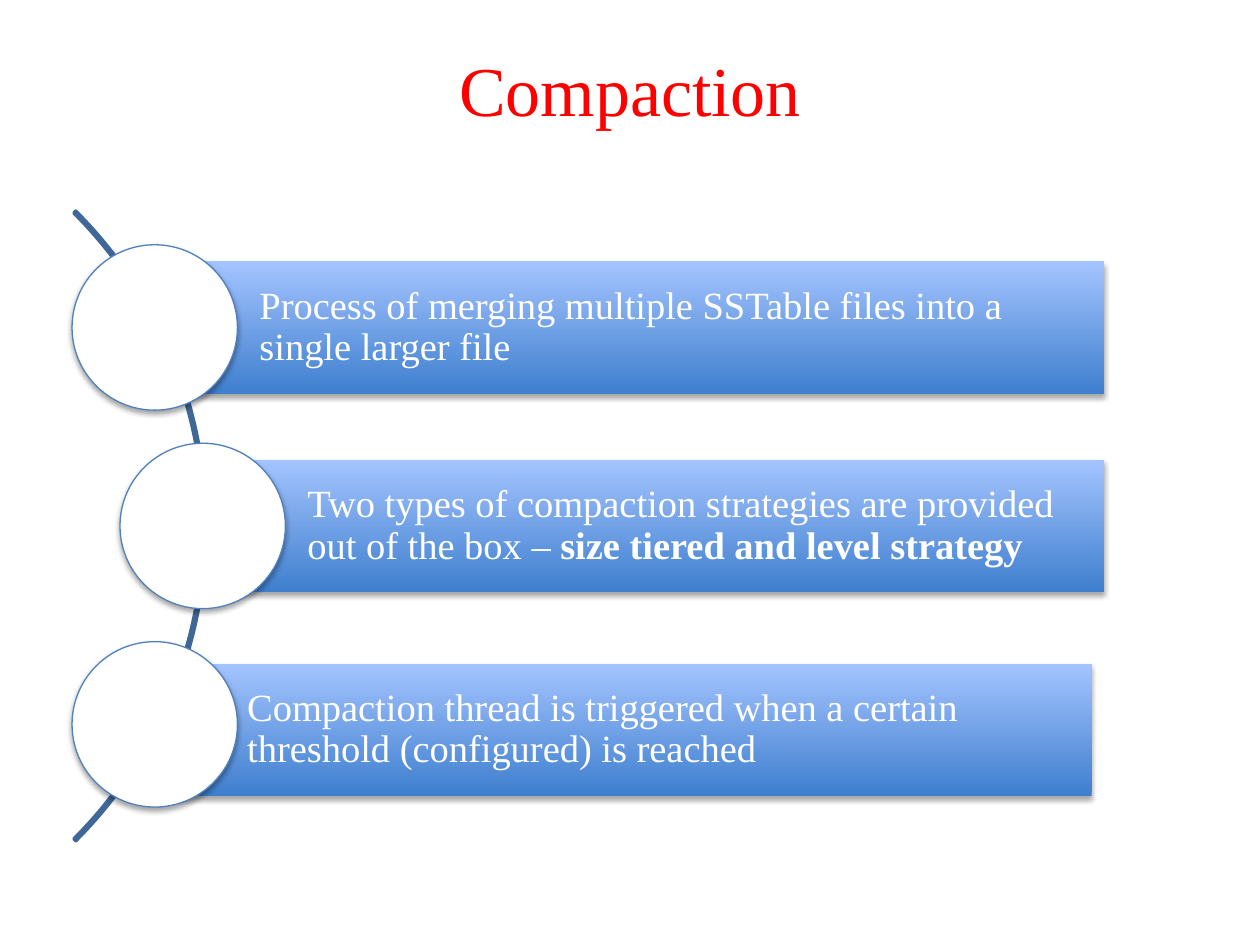
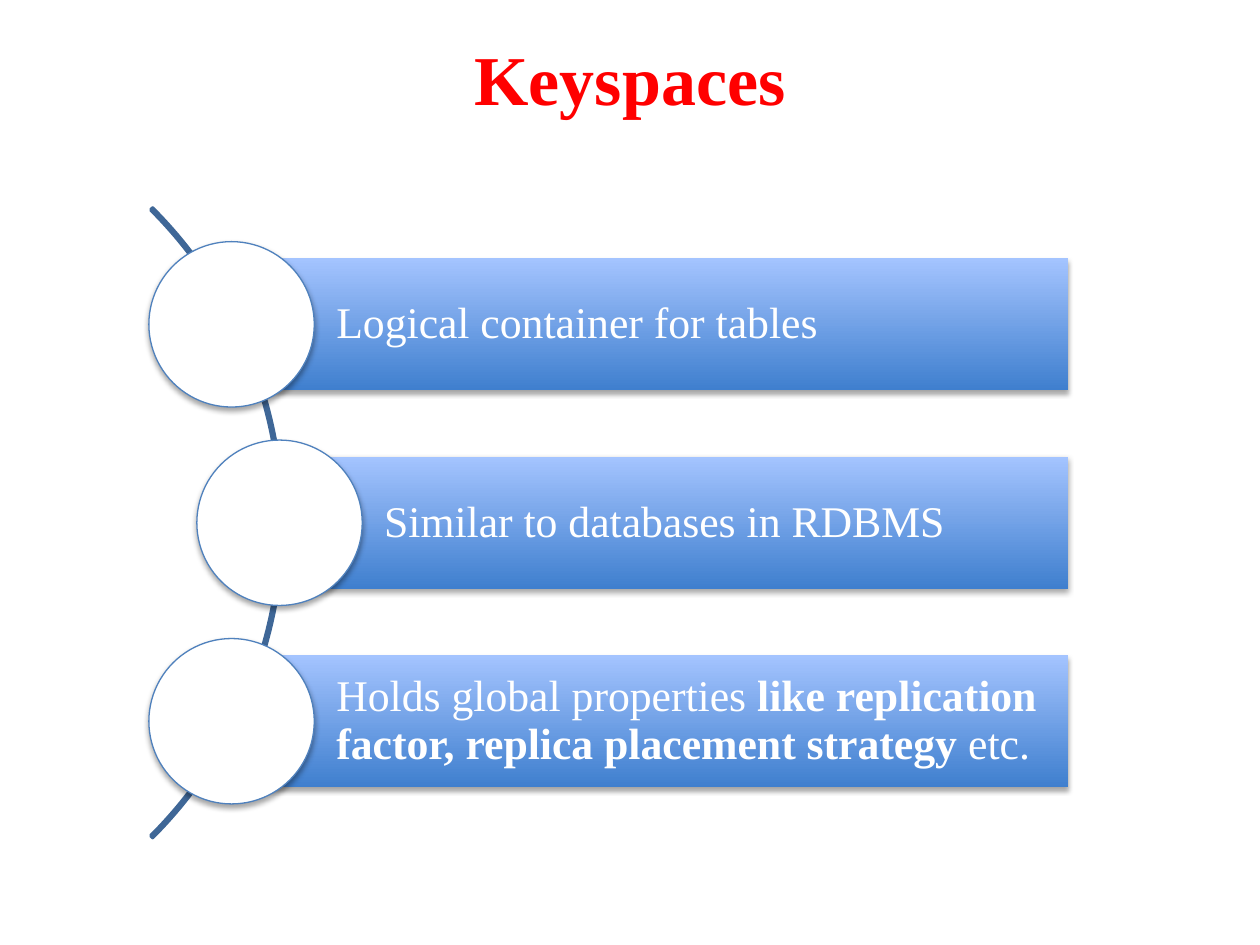
from dataclasses import dataclass

from lxml.etree import SubElement
from pptx import Presentation
from pptx.dml.color import RGBColor
from pptx.enum.shapes import MSO_SHAPE
from pptx.enum.text import MSO_ANCHOR, PP_ALIGN
from pptx.oxml.ns import qn
from pptx.util import Pt


@dataclass(frozen=True)
class Theme:
    font: str = "Times New Roman"
    title_size: float = 40
    title_color: RGBColor = RGBColor(0xFF, 0, 0)
    white: RGBColor = RGBColor(0xFF, 0xFF, 0xFF)
    bar_bottom: RGBColor = RGBColor(0x3F, 0x7F, 0xCE)
    bar_top: RGBColor = RGBColor(0xA4, 0xC4, 0xFF)
    curve: RGBColor = RGBColor(0x3F, 0x67, 0x97)
    ring: RGBColor = RGBColor(0x4F, 0x81, 0xBD)


@dataclass(frozen=True)
class Box:
    left: float
    top: float
    width: float
    height: float

    def points(self):
        return Pt(self.left), Pt(self.top), Pt(self.width), Pt(self.height)


@dataclass(frozen=True)
class Point:
    runs: tuple
    shift_x: float = 0
    shift_y: float = 0


THEME = Theme()
CIRCLE = 94.5
BAR_HEIGHT = 75.6
PITCH = 113.4
MIDDLE_INDENT = 27.4
CURVE_SIZE = 508.8
CURVE_OVERHANG = 2
TEXT_INDENT = 59.8


def write_runs(paragraph, runs, size, color):
    for wording, bold in runs:
        run = paragraph.add_run()
        run.text = wording
        run.font.name = THEME.font
        run.font.size = Pt(size)
        run.font.bold = bold
        run.font.color.rgb = color


def cast_shadow(shape):
    effects = shape._element.spPr.find(qn("a:effectLst"))
    shadow = SubElement(effects, qn("a:outerShdw"), blurRad=str(Pt(3.1)),
                        dist=str(Pt(1.8)), dir="5400000", rotWithShape="0")
    black = SubElement(shadow, qn("a:srgbClr"), val="000000")
    SubElement(black, qn("a:alpha"), val="35000")


def add_plain(slide, preset, box):
    shape = slide.shapes.add_shape(preset, *box.points())
    shape.shadow.inherit = False
    return shape


def add_title(slide, box, wording, bold):
    frame = slide.shapes.add_textbox(*box.points()).text_frame
    frame.word_wrap = True
    frame.vertical_anchor = MSO_ANCHOR.MIDDLE
    heading = frame.paragraphs[0]
    heading.alignment = PP_ALIGN.CENTER
    write_runs(heading, [(wording, bold)], THEME.title_size, THEME.title_color)


def add_curve(slide, box):
    curve = add_plain(slide, MSO_SHAPE.BLOCK_ARC, box)
    for index, value in enumerate((189, 27, 0.003)):
        curve.adjustments[index] = value
    curve.fill.background()
    curve.line.color.rgb = THEME.curve
    curve.line.width = Pt(2)


def add_bar(slide, box, runs, size, inset):
    bar = add_plain(slide, MSO_SHAPE.RECTANGLE, box)
    bar.fill.gradient()
    bar.fill.gradient_angle = 90
    for stop, color in zip(bar.fill.gradient_stops, (THEME.bar_bottom, THEME.bar_top)):
        stop.color.rgb = color
    bar.line.fill.background()
    cast_shadow(bar)
    frame = bar.text_frame
    frame.word_wrap = True
    frame.vertical_anchor = MSO_ANCHOR.MIDDLE
    frame.margin_left = Pt(TEXT_INDENT)
    frame.margin_top = frame.margin_right = frame.margin_bottom = Pt(inset)
    statement = frame.paragraphs[0]
    statement.alignment = PP_ALIGN.LEFT
    statement.line_spacing = 0.9
    write_runs(statement, runs, size, THEME.white)


def add_circle(slide, box):
    circle = add_plain(slide, MSO_SHAPE.OVAL, box)
    circle.fill.solid()
    circle.fill.fore_color.rgb = THEME.white
    circle.line.color.rgb = THEME.ring
    circle.line.width = Pt(0.75)
    cast_shadow(circle)


def add_curved_list(slide, box, points, size, inset):
    radius = CIRCLE / 2
    curve_right = box.left + MIDDLE_INDENT + radius + CURVE_OVERHANG
    curve_top = box.top + (box.height - CURVE_SIZE) / 2
    add_curve(slide, Box(curve_right - CURVE_SIZE, curve_top, CURVE_SIZE, CURVE_SIZE))
    for index, point in enumerate(points):
        indent = MIDDLE_INDENT if index == 1 else 0
        circle_left = box.left + indent
        circle_top = box.top + index * PITCH
        bar = Box(circle_left + radius + point.shift_x,
                  circle_top + (CIRCLE - BAR_HEIGHT) / 2 + point.shift_y,
                  box.width - indent - radius, BAR_HEIGHT)
        add_bar(slide, bar, point.runs, size, inset)
        add_circle(slide, Box(circle_left, circle_top, CIRCLE, CIRCLE))


def add_compaction(slide):
    add_title(slide, Box(36, 13.7, 648, 73.4), "Compaction", False)
    points = (
        Point((("Process of merging multiple SSTable files into a single larger file", False),)),
        Point((("Two types of compaction strategies are provided out of the box – ", False),
               ("size tiered and level strategy", True))),
        Point((("Compaction thread is triggered when a certain threshold (configured) is reached",
                False),), shift_x=-7, shift_y=3),
    )
    add_curved_list(slide, Box(41.2, 139.9, 589.6, 2 * PITCH + CIRCLE), points, 22, 4.4)


def add_keyspaces(slide):
    add_title(slide, Box(36, 3.6, 648, 81.4), "Keyspaces", True)
    points = (
        Point((("Logical container for tables", False),)),
        Point((("Similar to databases in RDBMS", False),)),
        Point((("Holds global properties ", False),
               ("like replication factor, replica placement strategy ", True),
               ("etc.", False))),
    )
    add_curved_list(slide, Box(85.1, 138.1, 525.3, 2 * PITCH + CIRCLE), points, 25, 5)


def main():
    deck = Presentation()
    deck.slide_width, deck.slide_height = Pt(720), Pt(540)
    for build in (add_compaction, add_keyspaces):
        build(deck.slides.add_slide(deck.slide_layouts[6]))
    deck.save("out.pptx")


if __name__ == "__main__":
    main()
